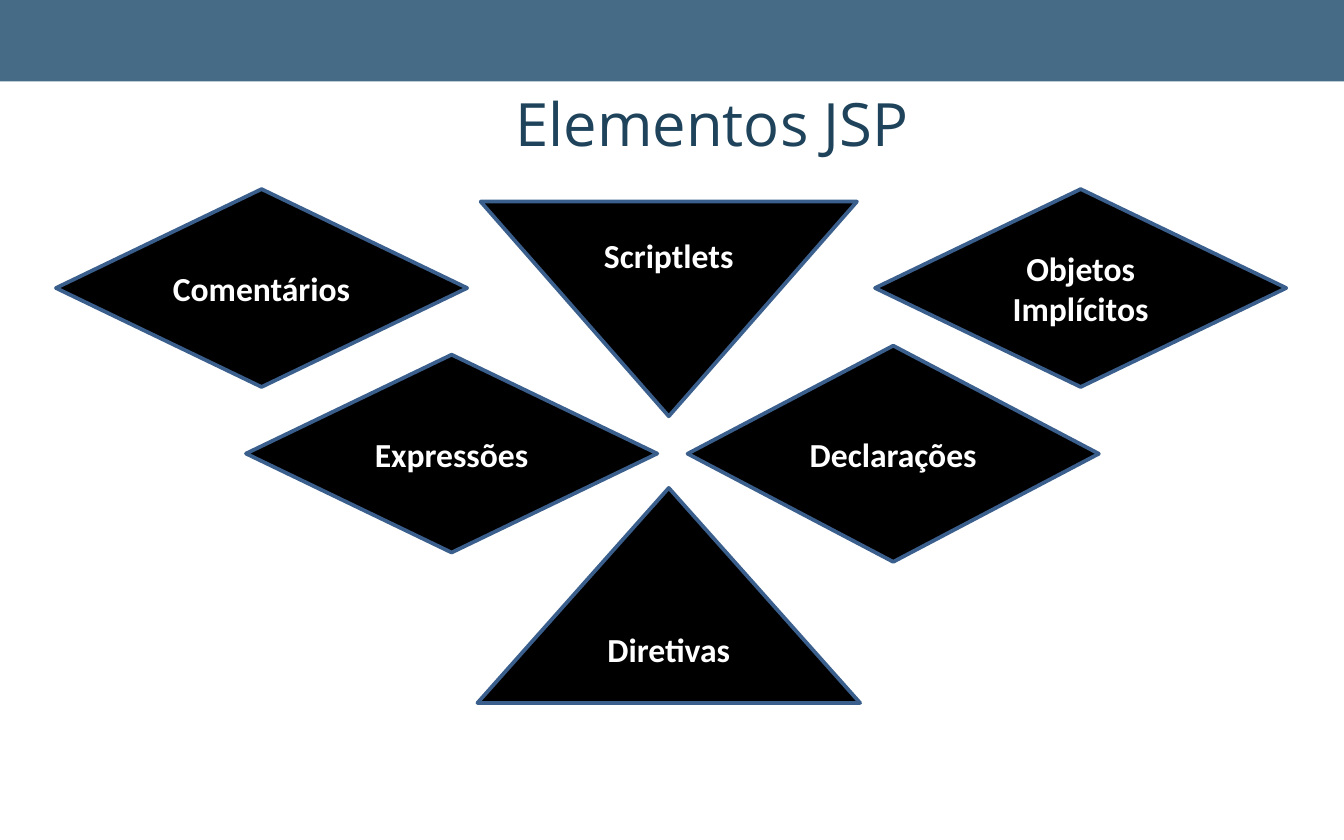
from dataclasses import dataclass

from lxml import etree
from pptx import Presentation
from pptx import util as u
from pptx.dml.color import RGBColor
from pptx.enum import shapes, text
from pptx.oxml.ns import qn


@dataclass(frozen=True)
class Theme:
    band: str = "17476A"
    band_alpha: int = 80
    title: str = "1E435B"
    fill: str = "000000"
    line: str = "3A5F8C"
    label: str = "FFFFFF"
    title_font: str = "Open Sans"
    label_font: str = "Calibri"
    title_size: int = 32
    label_size: int = 18
    line_width: int = 2


class Deck:
    def __init__(self, prs, theme):
        self.theme = theme
        self.s = prs.slides.add_slide(prs.slide_layouts[6])

    def label(self, sp, content, color, frame, font):
        tf = sp.text_frame
        for name, value in frame.items():
            setattr(tf, name, value)
        p = tf.paragraphs[0]
        p.alignment = text.PP_ALIGN.CENTER
        r = p.add_run()
        r.text = content
        for name, value in font.items():
            setattr(r.font, name, value)
        r.font.color.rgb = RGBColor.from_string(color)
        return p

    def shape(self, kind, box, color):
        sp = self.s.shapes.add_shape(kind, *map(u.Pt, box))
        sp.shadow.inherit = False
        sp.fill.solid()
        sp.fill.fore_color.rgb = RGBColor.from_string(color)
        return sp

    def title(self, content, box, indent):
        t = self.theme
        sp = self.s.shapes.add_textbox(*map(u.Pt, box))
        p = self.label(sp, content, t.title, {"word_wrap": True},
                       {"name": t.title_font, "size": u.Pt(t.title_size)})
        p._p.get_or_add_pPr().set("marL", str(u.Pt(indent)))

    def band(self, box):
        sp = self.shape(shapes.MSO_SHAPE.RECTANGLE, box, self.theme.band)
        sp.line.fill.background()
        clr = sp._element.spPr.find(qn("a:solidFill"))[0]
        etree.SubElement(clr, qn("a:alpha")).set("val", str(self.theme.band_alpha * 1000))

    def element(self, kind, content, box):
        t = self.theme
        sp = self.shape(kind, box, t.fill)
        sp.line.color.rgb = RGBColor.from_string(t.line)
        sp.line.width = u.Pt(t.line_width)
        self.label(sp, content, t.label,
                   {"word_wrap": True, "vertical_anchor": text.MSO_ANCHOR.MIDDLE,
                    "margin_left": 0, "margin_right": 0},
                   {"name": t.label_font, "size": u.Pt(t.label_size), "bold": True})


def main():
    prs = Presentation()
    prs.slide_width, prs.slide_height = u.Pt(720), u.Pt(450)
    deck = Deck(prs, Theme())
    deck.title("Elementos JSP", (50.4, 43.2, 626.4, 46), 36)
    deck.band((0, 0, 720, 43.7))

    kinds = shapes.MSO_SHAPE
    diamond = kinds.DIAMOND
    width, height = 220.3, 106
    top_row = 101.3
    elements = [
        (kinds.FLOWCHART_EXTRACT, "Diretivas", (255.8, 261.4, 205, 115.2)),
        (diamond, "Expressões", (131.8, 190, width, height)),
        (diamond, "Declarações", (368.4, 185.2, width, 115.8)),
        (kinds.FLOWCHART_MERGE, "Scriptlets", (257.5, 108, 201.6, 115)),
        (diamond, "Objetos Implícitos", (468.8, top_row, width, height)),
        (diamond, "Comentários", (30, top_row, width, height)),
    ]
    for kind, content, box in elements:
        deck.element(kind, content, box)
    prs.save("out.pptx")


if __name__ == "__main__":
    main()
